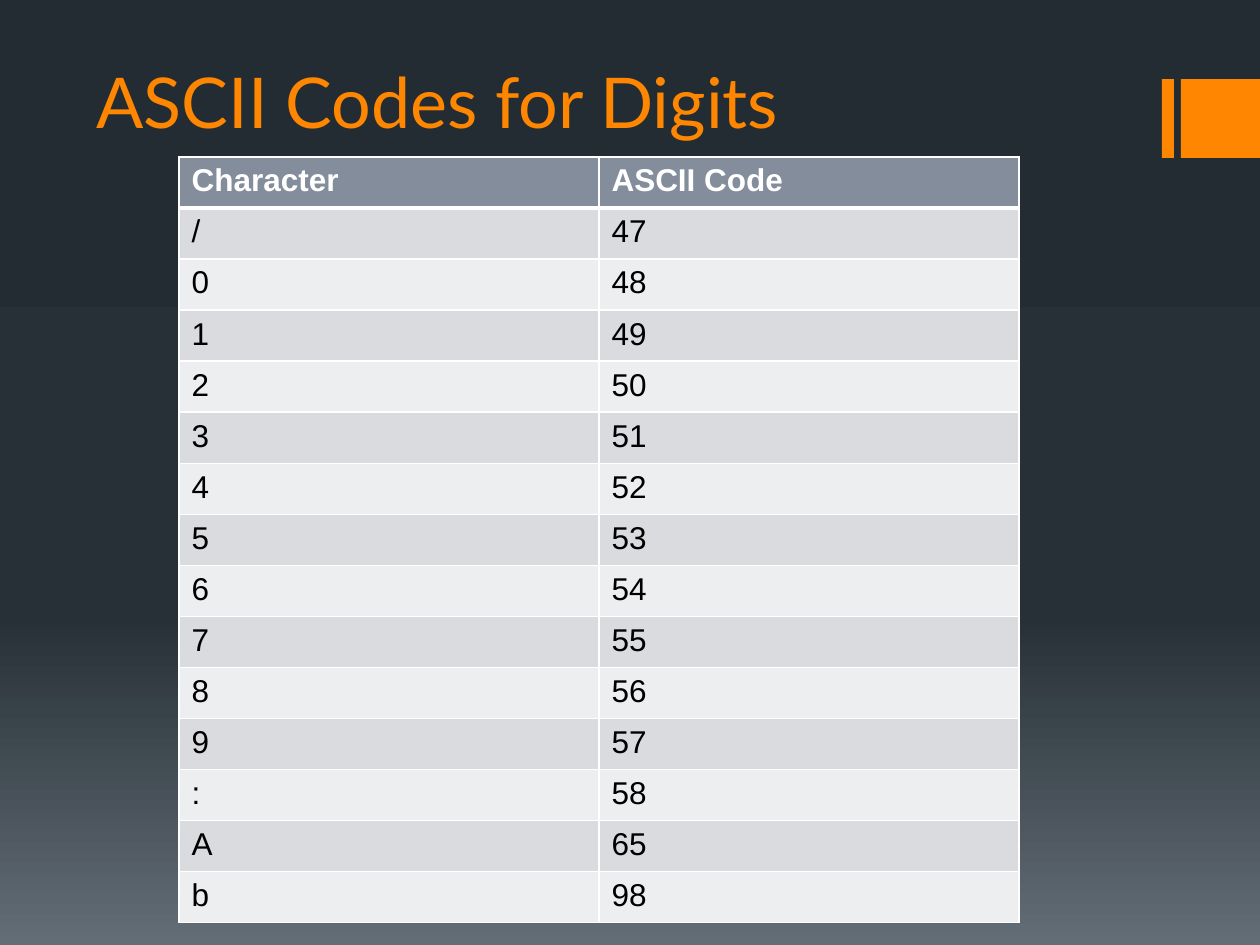
from copy import deepcopy
from dataclasses import dataclass

from lxml import etree
from pptx import Presentation
from pptx import util as u
from pptx.dml.color import RGBColor
from pptx.enum import shapes, text
from pptx.oxml.ns import qn

SCALE = 914400 // 126


@dataclass(frozen=True)
class Theme:
    accent: str = "FF8600"
    header: str = "838D9B"
    bands: tuple = ("D9DBDE", "EDEEEF")
    border: str = "FFFFFF"
    header_text: str = "FFFFFF"
    body_text: str = "000000"
    backdrop: tuple = ((0, "242C33"), (0.65, "273037"), (1, "636D76"))
    title_font: str = "Lato"
    table_font: str = "Arial"
    title_size: int = 40
    table_size: int = 18
    thin: int = 1
    thick: int = 3


THEME = Theme()
ROWS = [("Character", "ASCII Code")] + [(c, str(ord(c))) for c in "/0123456789:A"] + [("b", "98")]


def px(*lengths):
    return [u.Emu(n * SCALE) for n in lengths]


def style_run(r, font, size, color, bold=False):
    r.font.name = font
    r.font.size = u.Pt(size)
    r.font.color.rgb = RGBColor.from_string(color)
    r.font.bold = bold


def paint_background(slide):
    fill = slide.background.fill
    fill.gradient()
    fill.gradient_angle = 270
    stops = slide.element.xpath(".//p:bg//a:gsLst")[0]
    stops.append(deepcopy(stops[-1]))
    for stop, (position, color) in zip(fill.gradient_stops, THEME.backdrop):
        stop.position = position
        stop.color.rgb = RGBColor.from_string(color)


def add_accent_bars(slide, left, top, width, height):
    bar_width, gap = 12, 7
    block_left = bar_width + gap
    for x, w in ((0, bar_width), (block_left, width - block_left)):
        sp = slide.shapes.add_shape(shapes.MSO_SHAPE.RECTANGLE, *px(left + x, top, w, height))
        sp.shadow.inherit = False
        sp.fill.solid()
        sp.fill.fore_color.rgb = RGBColor.from_string(THEME.accent)
        sp.line.fill.background()


def place_title(slide, left, top, width, height):
    sp = slide.shapes.title
    sp.left, sp.top, sp.width, sp.height = px(left, top, width, height)
    tf = sp.text_frame
    tf.text = "ASCII Codes for Digits"
    tf.vertical_anchor = text.MSO_ANCHOR.MIDDLE
    p = tf.paragraphs[0]
    p.alignment = text.PP_ALIGN.LEFT
    style_run(p.runs[0], THEME.title_font, THEME.title_size, THEME.accent)


def set_borders(cell, top, bottom):
    tcPr = cell._tc.get_or_add_tcPr()
    for side, width in (("L", THEME.thin), ("R", THEME.thin), ("T", top), ("B", bottom)):
        ln = etree.SubElement(tcPr, qn(f"a:ln{side}"), w=str(u.Pt(width)))
        fill = etree.SubElement(ln, qn("a:solidFill"))
        etree.SubElement(fill, qn("a:srgbClr"), val=THEME.border)


def add_code_table(slide, left, top, width, height):
    table = slide.shapes.add_table(len(ROWS), len(ROWS[0]), *px(left, top, width, height)).table
    for i, values in enumerate(ROWS):
        is_header = i == 0
        fill = THEME.header if is_header else THEME.bands[(i - 1) % 2]
        color = THEME.header_text if is_header else THEME.body_text
        for cell, value in zip(table.rows[i].cells, values):
            set_borders(
                cell,
                THEME.thick if i == 1 else THEME.thin,
                THEME.thick if is_header else THEME.thin,
            )
            cell.fill.solid()
            cell.fill.fore_color.rgb = RGBColor.from_string(fill)
            cell.text_frame.text = value
            r = cell.text_frame.paragraphs[0].runs[0]
            style_run(r, THEME.table_font, THEME.table_size, color, is_header)


def main():
    prs = Presentation()
    prs.slide_width, prs.slide_height = px(1260, 945)
    slide = prs.slides.add_slide(prs.slide_layouts[5])
    paint_background(slide)
    add_accent_bars(slide, 1162, 79, 98, 79)
    place_title(slide, 84, 21, 1008, 159)
    add_code_table(slide, 179, 157, 840, 766)
    prs.save("out.pptx")


if __name__ == "__main__":
    main()
